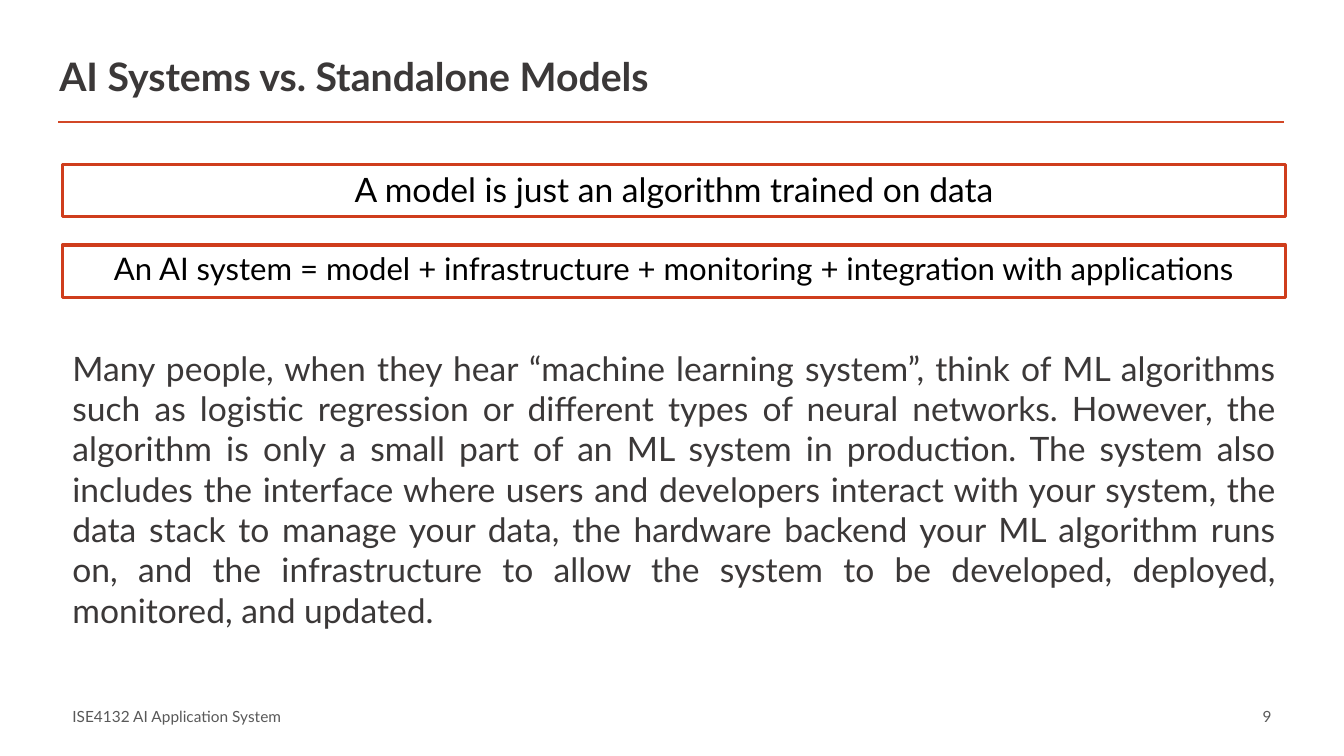
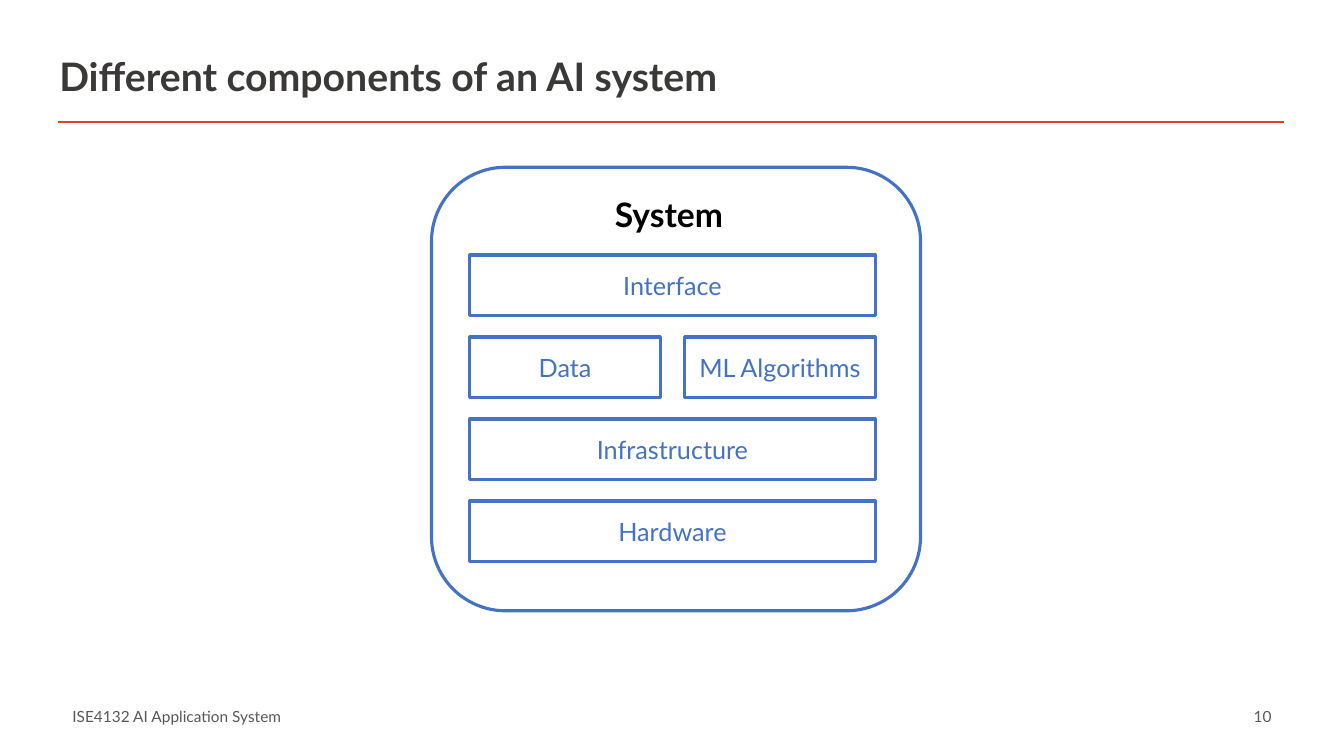
from pptx import Presentation
from pptx.dml.color import RGBColor
from pptx.enum.shapes import MSO_CONNECTOR, MSO_SHAPE
from pptx.enum.text import MSO_ANCHOR, PP_ALIGN
from pptx.util import Inches, Pt
from lxml.etree import SubElement
from pptx.oxml.ns import qn

FONT = "Lato"
DARK = RGBColor(0x3B, 0x38, 0x38)
BLACK = RGBColor(0x00, 0x00, 0x00)
GRAY = RGBColor(0x59, 0x59, 0x59)
RULE_RED = RGBColor(0xD2, 0x47, 0x26)
FRAME_RED = RGBColor(0xCF, 0x3D, 0x1C)
BLUE = RGBColor(0x44, 0x72, 0xC4)
FOOTER = "ISE4132 AI Application System"
MARGIN, CONTENT_WIDTH = 0.62, 12.13


def add_text(page, place, text, size, color, align=PP_ALIGN.LEFT,
             anchor=MSO_ANCHOR.TOP, bold=False, outline=None):
    """Add a text box, or an outlined rectangle if an outline colour is given."""
    lengths = [Inches(value) for value in place]
    if outline is None:
        box = page.shapes.add_textbox(*lengths)
    else:
        box = page.shapes.add_shape(MSO_SHAPE.RECTANGLE, *lengths)
        style_outline(box, outline)
    frame = box.text_frame
    frame.word_wrap = True
    frame.vertical_anchor = anchor
    frame.text = text
    para = frame.paragraphs[0]
    para.alignment = align
    font = para.runs[0].font
    font.name, font.size, font.bold = FONT, Pt(size), bold
    font.color.rgb = color


def style_outline(shape, color):
    shape.shadow.inherit = False
    shape.fill.background()
    shape.line.color.rgb = color
    shape.line.width = Pt(2.25)


deck = Presentation()
deck.slide_width = Inches(13.33)
deck.slide_height = Inches(7.5)

# Shared title, rule and footer
pages = []
for number, title in [(9, "AI Systems vs. Standalone Models"),
                      (10, "Different components of an AI system")]:
    page = deck.slides.add_slide(deck.slide_layouts[6])
    rule = page.shapes.add_connector(MSO_CONNECTOR.STRAIGHT, Inches(0.58), Inches(1.21),
                                     Inches(12.74), Inches(1.21))
    rule.line.color.rgb = RULE_RED
    rule.line.width = Pt(2)
    SubElement(rule._element.spPr, qn("a:effectLst"))
    add_text(page, (0.49, 0.47, 12.26, 0.61), title, 28, DARK, bold=True)
    add_text(page, (9.13, 7.03, 3.58, 0.15), str(number), 11, GRAY,
             PP_ALIGN.RIGHT, MSO_ANCHOR.MIDDLE)
    add_text(page, (MARGIN, 7.03, 3.17, 0.15), FOOTER, 11, GRAY, anchor=MSO_ANCHOR.MIDDLE)
    pages.append(page)
comparison_page, components_page = pages

# Definitions and explanation
for top, size, text in [
    (1.63, 24, "A model is just an algorithm trained on data"),
    (2.43, 22.2, "An AI system = model + infrastructure + monitoring + "
                 "integration with applications"),
]:
    add_text(comparison_page, (MARGIN, top, CONTENT_WIDTH, 0.52), text, size, BLACK,
             PP_ALIGN.CENTER, outline=FRAME_RED)
add_text(
    comparison_page, (MARGIN, 3.4, CONTENT_WIDTH, 3.23),
    "Many people, when they hear “machine learning system”, think of ML algorithms such as "
    "logistic regression or different types of neural networks. However, the algorithm is "
    "only a small part of an ML system in production. The system also includes the interface "
    "where users and developers interact with your system, the data stack to manage your "
    "data, the hardware backend your ML algorithm runs on, and the infrastructure to allow "
    "the system to be developed, deployed, monitored, and updated.",
    24, DARK, PP_ALIGN.JUSTIFY)

# System frame
system = components_page.shapes.add_shape(MSO_SHAPE.ROUNDED_RECTANGLE, Inches(4.28),
                                          Inches(1.66), Inches(4.85), Inches(4.4))
style_outline(system, BLUE)
add_text(components_page, (6, 1.87, 1.33, 0.5), "System", 24, BLACK, bold=True)

# Component rows share one width, split evenly between their boxes
rows = [["Interface"], ["Data", "ML Algorithms"], ["Infrastructure"], ["Hardware"]]
first_top, last_top = 2.53, 4.97
row_left, row_width, row_height, column_gap = 4.66, 4.02, 0.6, 0.24
row_step = (last_top - first_top) / (len(rows) - 1)
for row_index, names in enumerate(rows):
    width = (row_width - column_gap * (len(names) - 1)) / len(names)
    for column, name in enumerate(names):
        place = (row_left + column * (width + column_gap),
                 first_top + row_index * row_step, width, row_height)
        add_text(components_page, place, name, 18, BLUE, PP_ALIGN.CENTER,
                 MSO_ANCHOR.MIDDLE, outline=BLUE)

deck.save("out.pptx")
